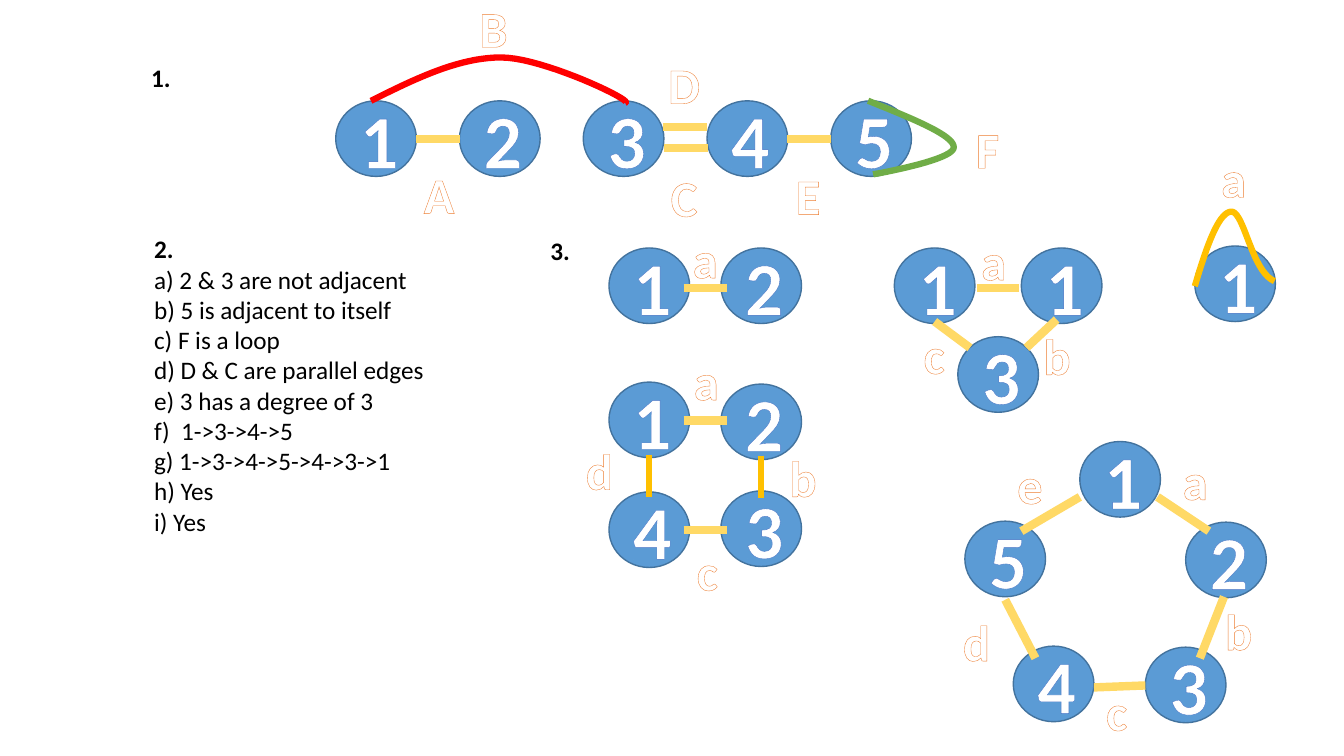
import dataclasses

import lxml.etree
import pptx
import pptx.dml.color
import pptx.enum.dml
import pptx.enum.shapes
import pptx.enum.text
import pptx.oxml.ns
import pptx.util


@dataclasses.dataclass(frozen=True)
class Theme:
    columns: float = 13.33
    rows: float = 7.5
    font: str = "Calibri"
    body_size: int = 18
    label_size: int = 36
    number_size: int = 54
    edge_width: float = 6
    curve_width: float = 4.5
    black: str = "000000"
    white: str = "FFFFFF"
    node: str = "5B9BD5"
    node_line: str = "43739E"
    hatch: str = "8FAADC"
    number_outline: str = "4472C4"
    label_outline: str = "ED7D31"
    edge: str = "FFD966"
    amber: str = "FFC000"
    green: str = "70AD47"
    red: str = "FF0000"


def rgb(color):
    return pptx.dml.color.RGBColor.from_string(color)


def add_element(parent, tag, **attributes):
    return lxml.etree.SubElement(parent, pptx.oxml.ns.qn(tag), **attributes)


def write(tf, text, font="Calibri", size=18, color="000000", bold=False,
          centered=False, hatch=None, outline=None, outline_width=1):
    p = tf.paragraphs[0] if not tf.text else tf.add_paragraph()
    if centered:
        p.alignment = pptx.enum.text.PP_ALIGN.CENTER
    r = p.add_run()
    r.text = text
    r.font.name, r.font.size, r.font.bold = font, pptx.util.Pt(size), bold
    if hatch:
        fill = r.font.fill
        fill.patterned()
        fill.pattern = pptx.enum.dml.MSO_PATTERN.LIGHT_DOWNWARD_DIAGONAL
        fill.fore_color.rgb, fill.back_color.rgb = rgb(hatch), rgb(color)
    else:
        r.font.color.rgb = rgb(color)
    if outline:
        props = r._r.get_or_add_rPr()
        ln = add_element(props, "a:ln", w=str(pptx.util.Pt(outline_width)))
        add_element(add_element(ln, "a:solidFill"), "a:srgbClr", val=outline)
        props.insert(0, ln)


def bezier(start, segments, steps=20):
    points = []
    for a, b, end in segments:
        for i in range(1, steps + 1):
            t = i / steps
            u = 1 - t
            points.append([u**3 * p0 + 3 * u * u * t * p1 + 3 * u * t * t * p2 + t**3 * p3
                           for p0, p1, p2, p3 in zip(start, a, b, end)])
        start = end
    return points


class GraphSlide:
    NODE = (0.8, 0.75)
    NUMBER = (0.52, 1.01)
    LABEL = (0.67, 0.71)

    def __init__(self, prs, theme):
        self.theme = theme
        self.cell = pptx.util.Inches(1)
        prs.slide_width, prs.slide_height = self.grid(theme.columns, theme.rows)
        self.s = prs.slides.add_slide(prs.slide_layouts[6])

    def grid(self, *lengths):
        return [round(self.cell * length) for length in lengths]

    def text(self, shapes, box, lines, wrap=True, **style):
        sp = shapes.add_textbox(*self.grid(*box))
        tf = sp.text_frame
        tf.word_wrap = wrap
        tf.auto_size = pptx.enum.text.MSO_AUTO_SIZE.SHAPE_TO_FIT_TEXT
        for line, bold in lines:
            write(tf, line, font=self.theme.font, bold=bold, **style)

    def body(self, box, lines, wrap=True):
        self.text(self.s.shapes, box, lines, wrap,
                  size=self.theme.body_size, color=self.theme.black)

    def node(self, number, x, y):
        th = self.theme
        group = self.s.shapes.add_group_shape()
        oval = pptx.enum.shapes.MSO_SHAPE.OVAL
        sp = group.shapes.add_shape(oval, *self.grid(x, y, *self.NODE))
        sp.shadow.inherit = False
        sp.fill.solid()
        sp.fill.fore_color.rgb = rgb(th.node)
        self.stroke(sp, th.node_line, 1)
        left = x + (self.NODE[0] - self.NUMBER[0]) / 2
        top = y + (self.NODE[1] - self.NUMBER[1]) / 2
        self.text(group.shapes, (left, top, *self.NUMBER), [(number, True)],
                  size=th.number_size, color=th.white, centered=True,
                  hatch=th.hatch, outline=th.number_outline)

    def label(self, letter, x, y):
        th = self.theme
        self.text(self.s.shapes, (x, y, *self.LABEL), [(letter, True)],
                  size=th.label_size, color=th.white, centered=True,
                  outline=th.label_outline, outline_width=0.52)

    def stroke(self, sp, color, width):
        sp.line.color.rgb = rgb(color)
        sp.line.width = pptx.util.Pt(width)

    def edge(self, x1, y1, x2, y2, color=None, width=None):
        straight = pptx.enum.shapes.MSO_CONNECTOR.STRAIGHT
        sp = self.s.shapes.add_connector(straight, *self.grid(x1, y1, x2, y2))
        self.stroke(sp, color or self.theme.edge, width or self.theme.edge_width)
        add_element(sp._element.spPr, "a:effectLst")

    def curve(self, color, start, *segments):
        builder = self.s.shapes.build_freeform(*self.grid(*start))
        points = [self.grid(*point) for point in bezier(start, segments)]
        builder.add_line_segments(points, close=False)
        sp = builder.convert_to_shape()
        sp.shadow.inherit = False
        sp.fill.background()
        self.stroke(sp, color, self.theme.curve_width)

    def graph(self, nodes, edges, labels):
        for node in nodes:
            self.node(*node)
        for edge in edges:
            self.edge(*edge)
        for label in labels:
            self.label(*label)


theme = Theme()
prs = pptx.Presentation()
s = GraphSlide(prs, theme)

s.body((1.4, 0.57, 0.39, 0.4), [("1.", True)], wrap=False)
s.graph([(str(i + 1), 3.33 + 1.2275 * i, 1) for i in range(5)],
        [(x, y, x + 0.43, y) for x, y in
         ((4.13, 1.38), (6.58, 1.26), (7.81, 1.38), (6.59, 1.47))],
        [("B", 4.56, -0.08), ("A", 4.02, 1.57), ("C", 6.45, 1.6),
         ("D", 6.45, 0.48), ("E", 7.68, 1.58), ("F", 9.46, 1.12)])
s.curve(theme.green, (8.61, 1), ((9.03, 1.17), (9.46, 1.34), (9.46, 1.46)),
        ((9.47, 1.59), (8.66, 1.73), (8.66, 1.73)))
s.curve(theme.red, (3.68, 1), ((4.12, 0.78), (4.55, 0.57), (4.97, 0.57)),
        ((5.39, 0.57), (6.31, 1.01), (6.2, 1.02)))

answers = ["a) 2 & 3 are not adjacent", "b) 5 is adjacent to itself", "c) F is a loop",
           "d) D & C are parallel edges", "e) 3 has a degree of 3", "f)  1->3->4->5",
           "g) 1->3->4->5->4->3->1", "h) Yes", "i) Yes"]
s.body((1.43, 2.27, 10.33, 3.13), [("2.", True)] + [(line, False) for line in answers])

s.body((5.36, 2.29, 0.39, 0.4), [("3.", True)], wrap=False)
left, right = 6.04, 7.15
s.graph([("1", left, 2.46), ("2", right, 2.46)],
        [(6.78, 2.86, 7.21, 2.86)],
        [("a", 6.66, 2.21)])
s.graph([("1", 8.87, 2.46), ("1", 10.13, 2.46), ("3", 9.5, 3.34)],
        [(9.69, 2.86, 10.11, 2.86), (9.27, 3.19, 9.62, 3.45), (10.18, 3.45, 10.48, 3.17)],
        [("a", 9.52, 2.23), ("b", 10.15, 3.17), ("c", 8.93, 3.16)])
s.graph([("1", 11.85, 2.44)], [], [("a", 11.9, 1.41)])
s.curve(theme.amber, (11.85, 2.84), ((11.96, 2.47), (12.08, 2.11), (12.21, 2.1)),
        ((12.34, 2.09), (12.41, 2.69), (12.64, 2.79)))
s.graph([("1", left, 3.79), ("2", right, 3.81), ("4", left, 4.88), ("3", right, 4.87)],
        [(6.78, y, 7.21, y) for y in (4.17, 5.26)]
        + [(x, y, x, y + 0.42, theme.amber, theme.curve_width)
           for x, y in ((6.44, 4.51), (7.55, 4.52))],
        [("a", 6.67, 3.42), ("b", 7.63, 4.38), ("c", 6.68, 5.31), ("d", 5.61, 4.31)])
s.graph([("1", 10.71, 4.38), ("5", 9.57, 5.17), ("2", 11.76, 5.18),
         ("4", 10.05, 6.41), ("3", 11.36, 6.42)],
        [(10.13, 5.27, 10.71, 4.93), (11.48, 4.93, 11.99, 5.27), (9.97, 5.95, 10.27, 6.53),
         (12.14, 5.92, 11.9, 6.53), (10.85, 6.82, 11.36, 6.8)],
        [("e", 9.88, 4.45), ("a", 11.52, 4.41), ("b", 11.95, 5.9),
         ("c", 10.74, 6.7), ("d", 9.35, 6.01)])

prs.save("out.pptx")
